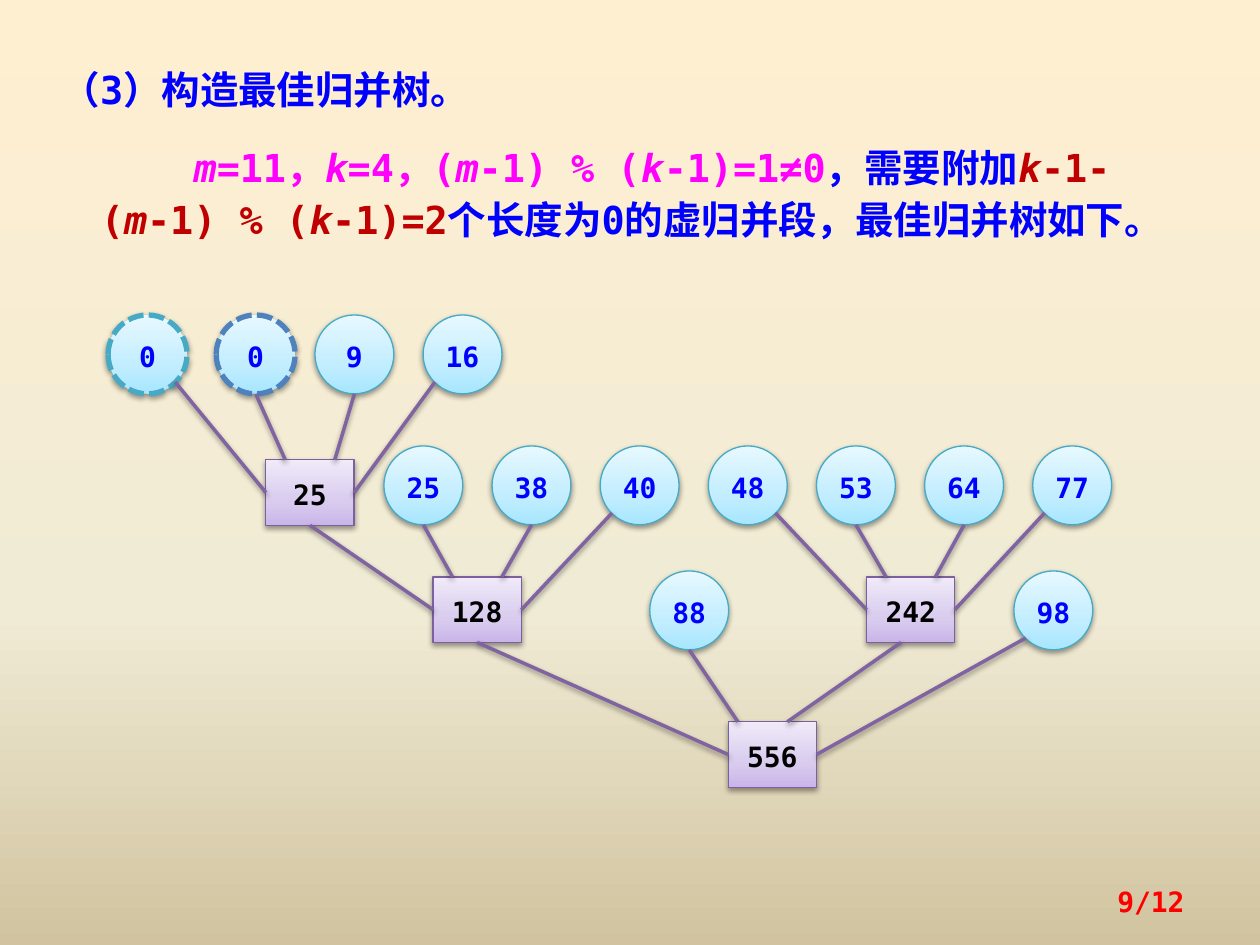
from copy import deepcopy
from dataclasses import dataclass

from lxml import etree
from pptx import Presentation
from pptx.dml.color import RGBColor
from pptx.enum.dml import MSO_LINE
from pptx.enum.shapes import MSO_CONNECTOR, MSO_SHAPE
from pptx.enum.text import MSO_ANCHOR, MSO_AUTO_SIZE, PP_ALIGN
from pptx.oxml.ns import qn
from pptx.util import Cm, Pt

FONT = "DejaVu Sans Mono"
COLORS = {
    "blue": "0000FF", "magenta": "FF00FF", "dark red": "C00000",
    "red": "FF0000", "black": "000000",
    "leaf line": "46AAC5", "dummy line": "4F81BD",
    "box line": "7D60A0", "branch": "8064A2",
}
BACKGROUND = [(0, "FFEFD1"), (0.65, "F0EBD5"), (1, "D1C39F")]
LEAF_FILL = [(0, "A7E6FF"), (0.35, "C1EDFF"), (1, "E7F8FF")]
BOX_FILL = [(0, "C9B5E8"), (0.35, "D8CBEE"), (1, "F0EAF9")]

LEAF_SIZE, BOX_W, BOX_H = 1.59, 1.78, 1.32
STEP = 2.18
# Where a branch leaves a leaf, by the leaf's place among its siblings
LEAF_EXITS = [(0.85, 0.85), (0.5, 1), (0.5, 1), (0.15, 0.85)]


@dataclass
class Node:
    label: str
    x: float
    y: float
    line: str = "leaf line"
    dashed: bool = False
    children: tuple = ()
    pins: tuple = (0.22, 0.78)  # where the middle branches meet the top edge
    exit: float = 0.5           # where the branch leaves the bottom edge

    @property
    def size(self):
        return (BOX_W, BOX_H) if self.children else (LEAF_SIZE, LEAF_SIZE)

    def at(self, fx, fy):
        w, h = self.size
        return self.x + fx * w, self.y + fy * h


def rgb(name):
    return RGBColor.from_string(COLORS[name])


def set_font(font, size, color):
    font.name, font.size, font.bold = FONT, Pt(size), True
    font.color.rgb = rgb(color)


def set_gradient(element, fill, stops, angle):
    fill.gradient()
    fill.gradient_angle = angle
    gs_list = element.find(".//" + qn("a:gsLst"))
    gs_list.append(deepcopy(gs_list[0]))
    for stop, (position, color) in zip(fill.gradient_stops, stops):
        stop.position = position
        stop.color.rgb = RGBColor.from_string(color)


def add_shadow(sp_pr):
    effects = sp_pr.find(qn("a:effectLst"))
    if effects is None:
        effects = etree.SubElement(sp_pr, qn("a:effectLst"))
    shadow = etree.SubElement(effects, qn("a:outerShdw"), blurRad="40000",
                              dist="20000", dir="5400000", rotWithShape="0")
    color = etree.SubElement(shadow, qn("a:srgbClr"), val=COLORS["black"])
    etree.SubElement(color, qn("a:alpha"), val="38000")


def place(shape, left, top, width, height):
    shape.left, shape.top = Cm(left), Cm(top)
    shape.width, shape.height = Cm(width), Cm(height)
    tf = shape.text_frame
    tf.word_wrap, tf.auto_size = True, MSO_AUTO_SIZE.NONE
    tf.vertical_anchor = MSO_ANCHOR.TOP
    return tf


def add_title(s, left, top, width, height):
    p = place(s.shapes.title, left, top, width, height).paragraphs[0]
    p.text = "（3）构造最佳归并树。"
    p.alignment, p.line_spacing = PP_ALIGN.LEFT, Pt(30)
    set_font(p.font, 22, "blue")


def add_formula(s, left, top, width, height):
    p = place(s.placeholders[1], left, top, width, height).paragraphs[0]
    p_pr = p._p.get_or_add_pPr()
    p_pr.set("marL", "0")
    p_pr.set("indent", str(Cm(1.87)))
    etree.SubElement(p_pr, qn("a:buNone"))
    p.line_spacing, p.space_before = Pt(30), Pt(0)
    parts = [
        ("magenta", "m|=11，|k|=4，(|m|-1) % (|k|-1)=1≠0"),
        ("blue", "，需要附加"),
        ("dark red", "k|-1-(|m|-1) % (|k|-1)=2"),
        ("blue", "个长度为0的虚归并段，最佳归并树如下。"),
    ]
    for color, text in parts:
        for piece in text.split("|"):
            r = p.add_run()
            r.text = piece
            set_font(r.font, 22, color)
            r.font.italic = piece in ("m", "k")


def draw_node(shapes, node, left, top):
    kind = MSO_SHAPE.RECTANGLE if node.children else MSO_SHAPE.OVAL
    w, h = node.size
    sp = shapes.add_shape(kind, Cm(left + node.x), Cm(top + node.y), Cm(w), Cm(h))
    set_gradient(sp._element, sp.fill, BOX_FILL if node.children else LEAF_FILL, 90)
    sp.line.color.rgb = rgb(node.line)
    sp.line.width = Pt(3 if node.dashed else 0.75)
    if node.dashed:
        sp.line.dash_style = MSO_LINE.SQUARE_DOT
    sp.shadow.inherit = False
    add_shadow(sp._element.spPr)
    tf = sp.text_frame
    tf.margin_left = tf.margin_right = 0
    tf.vertical_anchor = MSO_ANCHOR.MIDDLE
    p = tf.paragraphs[0]
    p.text = node.label
    p.alignment, p.line_spacing = PP_ALIGN.CENTER, 1.1
    set_font(p.font, 16, "black" if node.children else "blue")


def draw_branch(shapes, start, end, left, top):
    (x1, y1), (x2, y2) = start, end
    line = shapes.add_connector(MSO_CONNECTOR.STRAIGHT, Cm(left + x1), Cm(top + y1),
                                Cm(left + x2), Cm(top + y2))
    line.line.color.rgb, line.line.width = rgb("branch"), Pt(2)
    add_shadow(line._element.spPr)


def draw_merge(s, box, left, top):
    """Draw a merge box, its leaves and its branches as one group."""
    for child in box.children:
        if child.children:
            draw_merge(s, child, left, top)
    shapes = s.shapes.add_group_shape().shapes
    for node in [c for c in box.children if not c.children] + [box]:
        draw_node(shapes, node, left, top)
    entries = [(0, 0.5), (box.pins[0], 0), (box.pins[1], 0), (1, 0.5)]
    for child, leaf_exit, entry in zip(box.children, LEAF_EXITS, entries):
        start = (child.exit, 1) if child.children else leaf_exit
        draw_branch(shapes, child.at(*start), box.at(*entry), left, top)


def add_merge_tree(s, left, top):
    row = [Node(label, 5.56 + i * STEP, 2.64)
           for i, label in enumerate(["25", "38", "40", "48", "53", "64", "77"])]
    dummies = (Node("0", 0, 0, dashed=True),
               Node("0", STEP, 0, "dummy line", dashed=True))
    shortest = (Node("9", 4.17, 0), Node("16", 6.35, 0))
    box25 = Node("25", 3.18, 2.92, "box line", children=dummies + shortest)
    box128 = Node("128", 6.55, 5.28, "box line", children=(box25, *row[:3]))
    box242 = Node("242", 15.29, 5.28, "box line", children=tuple(row[3:]), exit=0.39)
    root = Node("556", 12.5, 8.2, "box line", pins=(0.11, 0.67),
                children=(box128, Node("88", 10.92, 5.16),
                          box242, Node("98", 18.26, 5.16)))
    draw_merge(s, root, left, top)


def add_page_number(s, left, top, width, height):
    tf = place(s.shapes.add_textbox(0, 0, 0, 0), left, top, width, height)
    tf.vertical_anchor = MSO_ANCHOR.MIDDLE
    p = tf.paragraphs[0]
    p.text = "9/12"
    p.alignment = PP_ALIGN.RIGHT
    set_font(p.font, 16, "red")


def main():
    prs = Presentation()
    prs.slide_width, prs.slide_height = Cm(25.4), Cm(19.05)
    s = prs.slides.add_slide(prs.slide_layouts[1])
    set_gradient(s._element, s.background.fill, BACKGROUND, 270)
    add_title(s, 0.99, 1.07, 12.7, 1.32)
    add_formula(s, 1.78, 2.64, 22.23, 2.39)
    add_merge_tree(s, 2.18, 6.35)
    add_page_number(s, 18.21, 17.65, 5.92, 1.02)
    prs.save("out.pptx")


if __name__ == "__main__":
    main()
